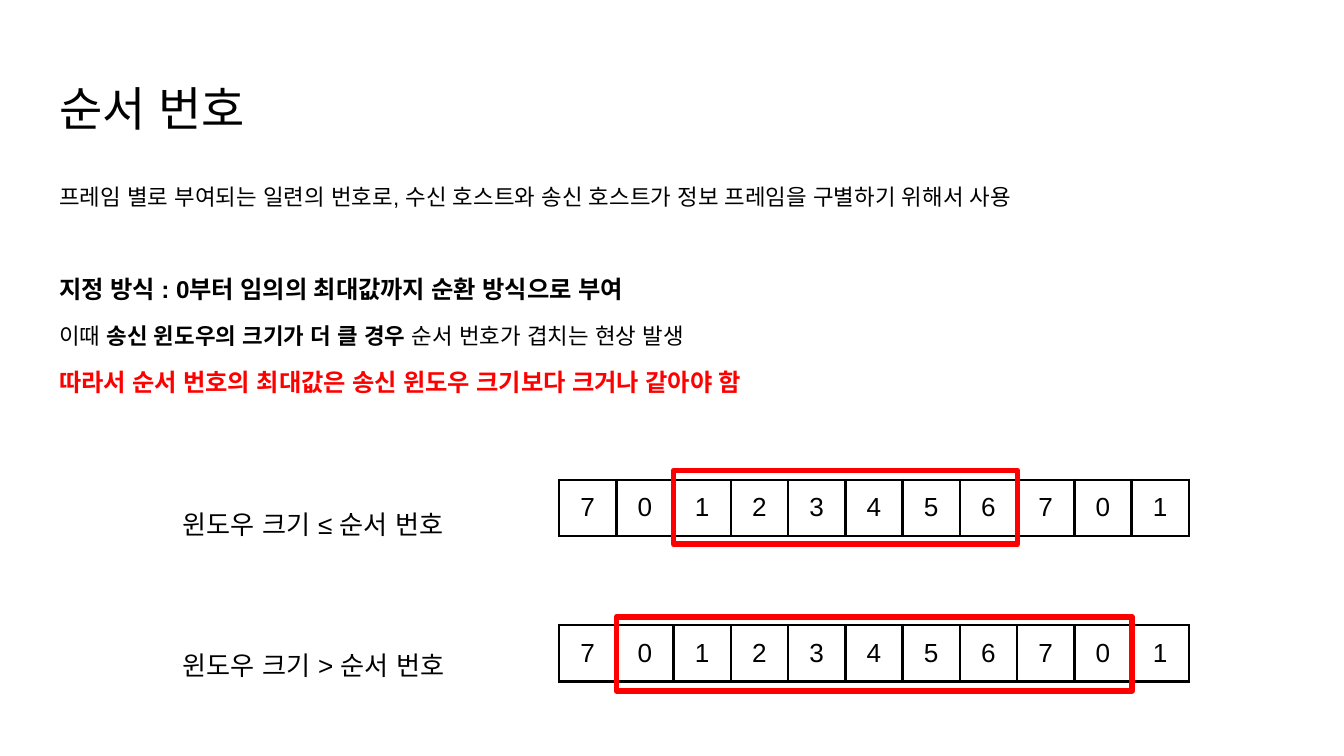
from lxml import etree
from pptx import Presentation
from pptx.dml.color import RGBColor
from pptx.enum.shapes import MSO_SHAPE
from pptx.enum.text import MSO_ANCHOR, MSO_AUTO_SIZE, PP_ALIGN
from pptx.oxml.ns import qn
from pptx.util import Inches, Pt

LEFT, CENTER = PP_ALIGN.LEFT, PP_ALIGN.CENTER
TOP = MSO_ANCHOR.TOP
NO_AUTOFIT = MSO_AUTO_SIZE.NONE
RECTANGLE = MSO_SHAPE.RECTANGLE

FONT = "Arial"
COLORS = {"text": "000000", "accent": "FF0000", "border": "000000"}
SEQUENCE = "70123456701"
STRIP_LEFT, STRIP_WIDTH, STRIP_HEIGHT = 4.16, 4.69, 0.42
CELL_WIDTH = STRIP_WIDTH / len(SEQUENCE)
PADDING = 0.1


def color(name):
    return RGBColor.from_string(COLORS[name])


def place(box, left, top, width, height):
    box.left, box.top = Inches(left), Inches(top)
    box.width, box.height = Inches(width), Inches(height)


def prepare_frame(box):
    """Set wrapping, insets and anchor of a box and return its text frame."""
    frame = box.text_frame
    frame.word_wrap = True
    frame.auto_size = NO_AUTOFIT
    frame.vertical_anchor = TOP
    frame.margin_left = frame.margin_right = Inches(PADDING)
    frame.margin_top = frame.margin_bottom = Inches(PADDING)
    return frame


def add_span(para, text, size=12, bold=False, fill="text"):
    span = para.add_run()
    span.text = text
    span.font.size = Pt(size)
    span.font.bold = bold
    span.font.color.rgb = color(fill)
    span.font.name = FONT
    etree.SubElement(span.font._element, qn("a:ea"), typeface=FONT)


def write(para, *spans, align=LEFT, before=0, spacing=None, **style):
    """Fill a paragraph with spans: plain text or (text, own style) pairs."""
    properties = para._p.get_or_add_pPr()
    properties.set("marL", "0")
    properties.set("indent", "0")
    etree.SubElement(properties, qn("a:buNone"))
    para.alignment = align
    para.space_before = Pt(before)
    if spacing:
        para.line_spacing = spacing
    for span in spans:
        text, own = (span, {}) if isinstance(span, str) else span
        add_span(para, text, **{**style, **own})


def add_title(slide):
    title = slide.shapes.title
    place(title, 0.34, 0.49, 9.32, 0.63)
    write(prepare_frame(title).paragraphs[0], "순서 번호", size=25.2)


def add_body(slide):
    body = slide.placeholders[1]
    place(body, 0.34, 1.26, 9.32, 2.15)
    frame = prepare_frame(body)
    write(frame.paragraphs[0],
          "프레임 별로 부여되는 일련의 번호로, 수신 호스트와 송신 호스트가 "
          "정보 프레임을 구별하기 위해서 사용")
    write(frame.add_paragraph(), "지정 방식 : 0부터 임의의 최대값까지 순환 방식으로 부여",
          size=13, bold=True, before=34.5)
    write(frame.add_paragraph(), "이때 ",
          ("송신 윈도우의 크기가 더 클 경우", {"bold": True}),
          " 순서 번호가 겹치는 현상 발생", before=10)
    write(frame.add_paragraph(),
          "따라서 순서 번호의 최대값은 송신 윈도우 크기보다 크거나 같아야 함",
          size=13, bold=True, fill="accent", before=10)


def add_labels(slide):
    box = slide.shapes.add_textbox(0, 0, 0, 0)
    place(box, 1.26, 3.57, 2.82, 1.5)
    frame = prepare_frame(box)
    write(frame.paragraphs[0], "윈도우 크기 ≤ 순서 번호", size=14, spacing=1.5)
    write(frame.add_paragraph(), "윈도우 크기 > 순서 번호",
          size=14, spacing=1.5, before=50)


def border_cell(cell):
    properties = cell._tc.get_or_add_tcPr()
    for position, side in enumerate(("a:lnL", "a:lnR", "a:lnT", "a:lnB")):
        line = etree.Element(qn(side), w=str(Pt(1.5)))
        fill = etree.SubElement(line, qn("a:solidFill"))
        etree.SubElement(fill, qn("a:srgbClr"), val=COLORS["border"])
        properties.insert(position, line)


def add_strip(slide, top):
    """Draw the row of sequence numbers."""
    table = slide.shapes.add_table(
        1, len(SEQUENCE), Inches(STRIP_LEFT), Inches(top),
        Inches(STRIP_WIDTH), Inches(STRIP_HEIGHT)).table
    table.first_row = table.horz_banding = False
    for column, number in enumerate(SEQUENCE):
        table.columns[column].width = Inches(CELL_WIDTH)
        cell = table.cell(0, column)
        cell.fill.background()
        cell.margin_left = cell.margin_right = Inches(PADDING)
        cell.margin_top = cell.margin_bottom = Inches(PADDING)
        border_cell(cell)
        write(cell.text_frame.paragraphs[0], number, size=14, align=CENTER)


def add_window(slide, top, first, count):
    """Frame `count` cells of a strip, starting at cell `first`."""
    window = slide.shapes.add_shape(
        RECTANGLE, Inches(STRIP_LEFT + first * CELL_WIDTH), Inches(top),
        Inches(count * CELL_WIDTH), Inches(0.55))
    window.shadow.inherit = False
    window.fill.background()
    window.line.color.rgb = color("accent")
    window.line.width = Pt(3)
    outline = window._element.spPr.find(qn("a:ln"))
    etree.SubElement(outline, qn("a:round"))


def main():
    deck = Presentation()
    deck.slide_width = Inches(10)
    deck.slide_height = deck.slide_width * 9 // 16
    slide = deck.slides.add_slide(deck.slide_layouts[1])
    add_title(slide)
    add_body(slide)
    add_labels(slide)
    for top, window_top, first, count in ((3.57, 3.5, 2, 6), (4.65, 4.59, 1, 9)):
        add_strip(slide, top)
        add_window(slide, window_top, first, count)
    deck.save("out.pptx")


if __name__ == "__main__":
    main()
